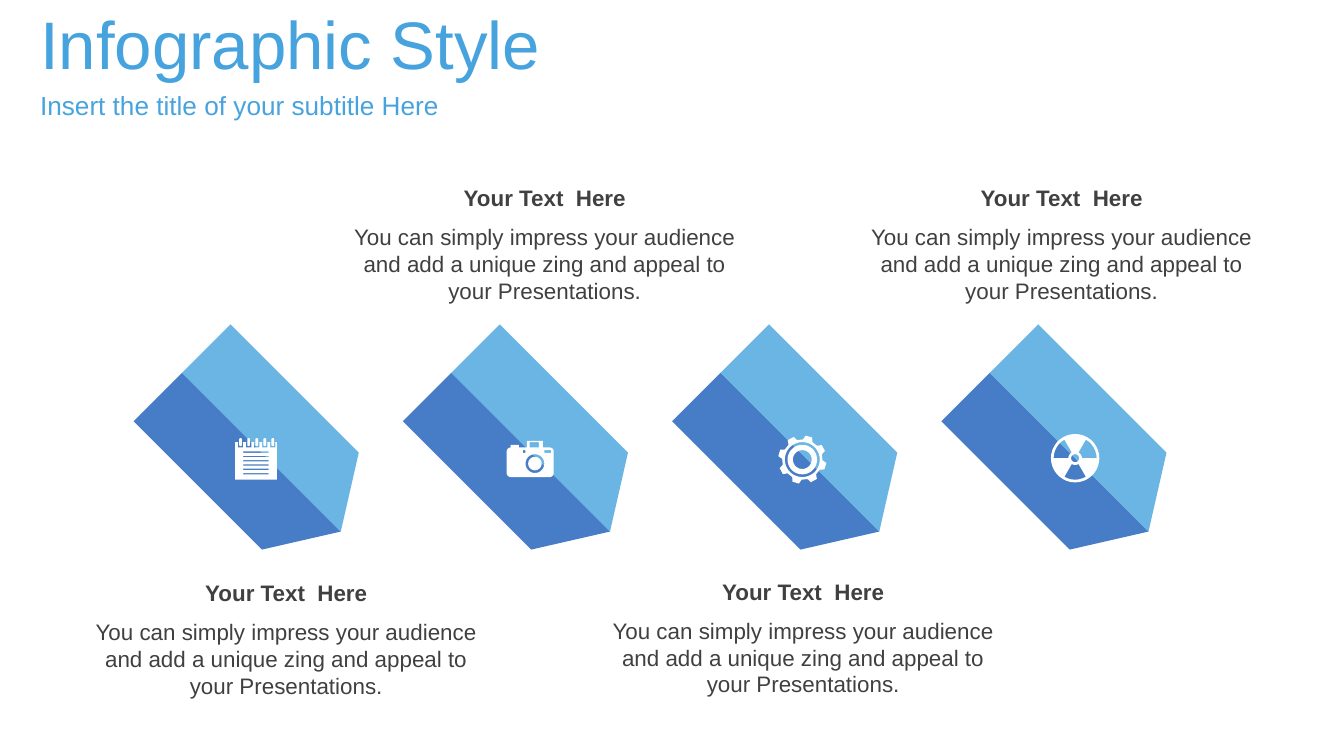
"""Build an infographic slide with four two-tone arrows, icons and captions."""
from math import cos, radians, sin

from lxml.etree import SubElement
from pptx import Presentation
from pptx.dml.color import RGBColor
from pptx.enum.text import MSO_ANCHOR, PP_ALIGN
from pptx.oxml.ns import qn
from pptx.util import Inches, Pt

SKY = RGBColor(0x47, 0xA3, 0xDE)
BLUE = RGBColor(0x47, 0x7D, 0xC7)
GRAY = RGBColor(0x40, 0x40, 0x40)
WHITE = RGBColor(0xFF, 0xFF, 0xFF)

TITLE = "Infographic Style"
SUBTITLE = "Insert the title of your subtitle Here"
HEAD = "Your Text  Here"
BODY = ("You can simply impress your audience and add a unique zing "
        "and appeal to your Presentations.")
CAPTION_TOPS = [4.26, 1.32, 4.25, 1.32]
CAPTION_LEFT, CAPTION_SPAN, CAPTION_W = 0.54, 5.77, 3.18
ARROW_LEFT, ARROW_SPAN = 0.93, 6.01
ARROW_W, ARROW_TIP, ARROW_H = 1.67, 1.35, 0.51
HALVES = [
    (0, 3.29, BLUE, 100, [(0, 0), (ARROW_W, 0), (ARROW_TIP, ARROW_H), (0, ARROW_H)]),
    (0.36, 2.93, SKY, 80, [(0, 0), (ARROW_TIP, 0), (ARROW_W, ARROW_H), (0, ARROW_H)]),
]


def arc(cx, cy, r, start=0, end=360):
    steps = max(2, round(abs(end - start) / 10))
    angles = [radians(start + (end - start) * i / steps) for i in range(steps + 1)]
    return [(cx + r * cos(a), cy + r * sin(a)) for a in angles]


def rect(x, y, w, h, r=0):
    if not r:
        return [(x, y), (x + w, y), (x + w, y + h), (x, y + h)]
    corners = [(x + w - r, y + h - r), (x + r, y + h - r), (x + r, y + r), (x + w - r, y + r)]
    return [p for i, (cx, cy) in enumerate(corners)
            for p in arc(cx, cy, r, 90 * i, 90 * i + 90)]


def notepad():
    page = [rect(1.75, 3.29, 0.31, 0.28)]
    lines = [rect(1.81, 3.36 + 0.16 * i / 5, 0.19, 0.01) for i in range(6)]
    notches = [rect(1.77 + 0.06 * i, 3.29, 0.04, 0.04) for i in range(5)]
    rings = [rect(1.78 + 0.06 * i, 3.26, 0.02, 0.06, 0.01) for i in range(5)]
    return page + lines + notches + rings


def camera():
    return [rect(3.77, 3.33, 0.35, 0.22, 0.03), rect(3.8, 3.31, 0.06, 0.02),
            rect(3.92, 3.28, 0.12, 0.05), rect(3.94, 3.29, 0.07, 0.04),
            rect(3.89, 3.35, 0.02, 0.02), rect(4.05, 3.35, 0.05, 0.02),
            arc(3.98, 3.45, 0.07), arc(3.98, 3.45, 0.05)]


def gear():
    cx, cy = 5.97, 3.42
    teeth = [(cx + r * cos(radians(45 * i + turn)), cy + r * sin(radians(45 * i + turn)))
             for i in range(8) for r, turn in ((0.15, 2), (0.18, 8), (0.18, 24), (0.15, 30))]
    return [teeth] + [arc(cx, cy, r) for r in (0.13, 0.11, 0.07)]


def radiation():
    cx, cy = 8, 3.41
    gaps = [arc(cx, cy, 0.16, a, a + 60) + arc(cx, cy, 0.05, a + 60, a)
            for a in (60, 180, 300)]
    return [arc(cx, cy, 0.18)] + gaps + [arc(cx, cy, 0.03)]


def add_outline(shapes, contours, color, alpha=100):
    emu = [[(Inches(x), Inches(y)) for x, y in c] for c in contours]
    fb = shapes.build_freeform(*emu[0][0])
    for i, points in enumerate(emu):
        if i:
            fb.move_to(*points[0])
        fb.add_line_segments(points[1:], close=True)
    sp = fb.convert_to_shape()
    sp.shadow.inherit = False
    sp.fill.solid()
    sp.fill.fore_color.rgb = color
    sp.line.fill.background()
    if alpha < 100:
        clr = sp.element.spPr.find(qn("a:solidFill"))[0]
        SubElement(clr, qn("a:alpha")).set("val", str(alpha * 1000))
    return sp


def add_text(shapes, box, text, size, color, bold=False, align=PP_ALIGN.LEFT,
             anchor=MSO_ANCHOR.TOP):
    tf = shapes.add_textbox(*map(Inches, box)).text_frame
    tf.word_wrap = True
    tf.vertical_anchor = anchor
    p = tf.paragraphs[0]
    p.alignment = align
    r = p.add_run()
    r.text = text
    r.font.name = "Arial"
    r.font.size = Pt(size)
    r.font.bold = bold
    r.font.color.rgb = color


def main():
    prs = Presentation()
    prs.slide_width = Inches(10)
    prs.slide_height = prs.slide_width * 9 // 16
    s = prs.slides.add_slide(prs.slide_layouts[6])

    add_text(s.shapes, (0.2, 0, 7.8, 0.63), TITLE, 36, SKY, anchor=MSO_ANCHOR.MIDDLE)
    add_text(s.shapes, (0.2, 0.63, 7.8, 0.31), SUBTITLE, 14, SKY, anchor=MSO_ANCHOR.MIDDLE)

    for i in range(4):
        arrow = s.shapes.add_group_shape()
        left = ARROW_LEFT + ARROW_SPAN * i / 3
        for dx, top, color, alpha, points in HALVES:
            outline = [(left + dx + x, top + y) for x, y in points]
            add_outline(arrow.shapes, [outline], color, alpha).rotation = 45

    for i, top in enumerate(CAPTION_TOPS):
        caption = s.shapes.add_group_shape().shapes
        left = CAPTION_LEFT + CAPTION_SPAN * i / 3
        add_text(caption, (left, top + 0.29, CAPTION_W, 0.71), BODY, 12, GRAY,
                 align=PP_ALIGN.CENTER)
        add_text(caption, (left, top, CAPTION_W, 0.3), HEAD, 12, GRAY, True, PP_ALIGN.CENTER)

    for icon in (notepad, radiation, gear, camera):
        add_outline(s.shapes, icon(), WHITE)

    prs.save("out.pptx")


if __name__ == "__main__":
    main()
